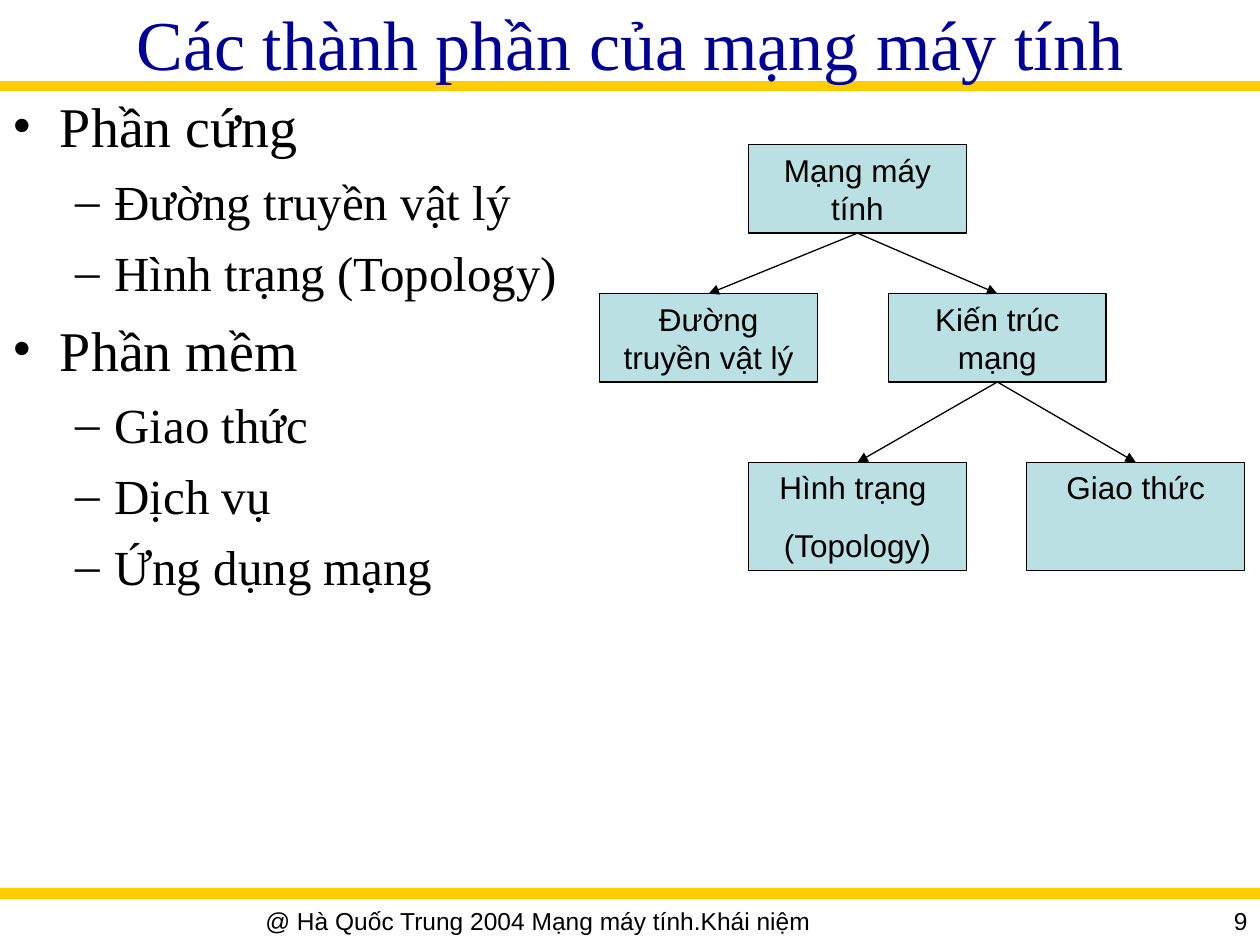
from lxml import etree
from pptx import Presentation
from pptx.dml.color import RGBColor
from pptx.enum import shapes, text
from pptx.oxml import ns
from pptx.util import Cm, Pt

BLACK = RGBColor(0, 0, 0)
NAVY = RGBColor(0x00, 0x00, 0x99)
GOLD = RGBColor(0xFF, 0xCC, 0x00)
PALE_TEAL = RGBColor(0xBB, 0xE0, 0xE3)
SERIF, SANS = "Times New Roman", "Arial"
WIDTH, HEIGHT = 25.4, 19.05
BOX_WIDTH = 4.39

TITLE = "Các thành phần của mạng máy tính"
OUTLINE = [
    (0, "Phần cứng"),
    (1, "Đường truyền vật lý"),
    (1, "Hình trạng (Topology)"),
    (0, "Phần mềm"),
    (1, "Giao thức"),
    (1, "Dịch vụ"),
    (1, "Ứng dụng mạng"),
]
# level: bullet, size, space before, left margin, hanging indent
LEVELS = [("•", 32, 8, 0.96, 0.96), ("–", 28, 7, 2.06, 0.79)]
NODES = {
    "network": ("Mạng máy tính", 15.09, 2.92, 1.78),
    "medium": ("Đường truyền vật lý", 12.09, 5.92, 1.78),
    "architecture": ("Kiến trúc mạng", 17.91, 5.92, 1.78),
    "topology": ("Hình trạng \n(Topology)", 15.09, 9.32, 2.18),
    "protocol": ("Giao thức", 20.7, 9.32, 2.18),
}
LINKS = [
    ("network", "medium"),
    ("network", "architecture"),
    ("architecture", "topology"),
    ("architecture", "protocol"),
]
FOOTER = "@ Hà Quốc Trung 2004 Mạng máy tính.Khái niệm"
PAGE_NUMBER = "9"
RULES = [1.73, 18.01]


def write(shape, content, size, font, color=BLACK, align=text.PP_ALIGN.CENTER,
          anchor=text.MSO_ANCHOR.TOP):
    frame = shape.text_frame
    frame.text = content
    frame.word_wrap = True
    frame.vertical_anchor = anchor
    for paragraph in frame.paragraphs:
        paragraph.alignment = align
        for run in paragraph.runs:
            run.font.size = Pt(size)
            run.font.name = font
            run.font.color.rgb = color
    return frame


def add_text(slide, box, *args, **kwargs):
    return write(slide.shapes.add_textbox(*map(Cm, box)), *args, **kwargs)


def add_line(slide, start, end, color, width):
    line = slide.shapes.add_connector(
        shapes.MSO_CONNECTOR.STRAIGHT, *map(Cm, (*start, *end)))
    line.line.color.rgb = color
    line.line.width = Pt(width)
    etree.SubElement(line._element.spPr, ns.qn("a:effectLst"))
    return line


def add_outline(slide):
    content = "\n".join(item for _, item in OUTLINE)
    frame = add_text(slide, (0, 1.73, 12.5, 16.21), content, 28, SERIF,
                     align=text.PP_ALIGN.LEFT)
    for paragraph, (level, _) in zip(frame.paragraphs, OUTLINE):
        bullet, size, space, margin, hanging = LEVELS[level]
        paragraph.level = level
        paragraph.space_before = Pt(space)
        paragraph.runs[0].font.size = Pt(size)
        properties = paragraph._p.get_or_add_pPr()
        properties.set("marL", str(Cm(margin)))
        properties.set("indent", str(-Cm(hanging)))
        etree.SubElement(properties, ns.qn("a:buFont"), typeface=SERIF)
        etree.SubElement(properties, ns.qn("a:buChar"), char=bullet)


def add_node(slide, label, left, top, height):
    box = slide.shapes.add_shape(
        shapes.MSO_SHAPE.RECTANGLE, *map(Cm, (left, top, BOX_WIDTH, height)))
    box.shadow.inherit = False
    box.fill.solid()
    box.fill.fore_color.rgb = PALE_TEAL
    box.line.color.rgb = BLACK
    box.line.width = Pt(0.75)
    for paragraph in write(box, label, 18, SANS).paragraphs:
        paragraph.space_before = Pt(11.2)
    return box


def add_tree(slide):
    boxes = {name: add_node(slide, *node) for name, node in NODES.items()}
    for parent, child in LINKS:
        arrow = add_line(slide, (0, 0), (1, 1), BLACK, 0.75)
        arrow.begin_connect(boxes[parent], 2)
        arrow.end_connect(boxes[child], 0)
        etree.SubElement(arrow.line._get_or_add_ln(), ns.qn("a:tailEnd"),
                         type="triangle")


def main():
    presentation = Presentation()
    presentation.slide_width = Cm(WIDTH)
    presentation.slide_height = Cm(HEIGHT)
    slide = presentation.slides.add_slide(presentation.slide_layouts[6])
    for y in RULES:
        add_line(slide, (0, y), (WIDTH, y), GOLD, 6)
    add_text(slide, (0, 0, WIDTH, 1.73), TITLE, 40, SERIF, NAVY,
             anchor=text.MSO_ANCHOR.MIDDLE)
    add_outline(slide)
    add_tree(slide)
    add_text(slide, (0, 18.14, 21.69, 0.91), FOOTER, 14, SANS)
    add_text(slide, (21.79, 18.14, 3.61, 0.79), PAGE_NUMBER, 14, SANS,
             align=text.PP_ALIGN.RIGHT)
    presentation.save("out.pptx")


if __name__ == "__main__":
    main()
